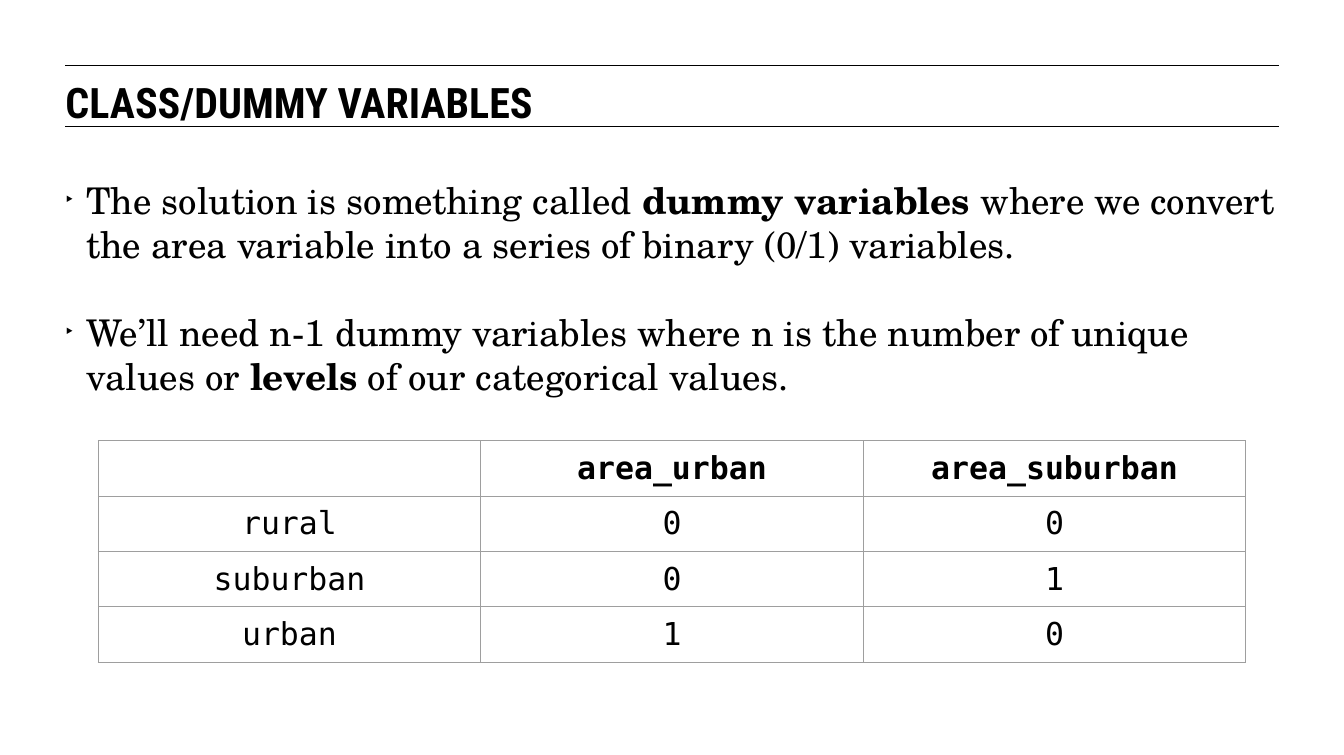
"""Build the slide on class and dummy variables."""
from lxml.etree import SubElement, fromstring
from pptx import Presentation
from pptx.dml.color import RGBColor
from pptx.enum.shapes import MSO_CONNECTOR
from pptx.enum.text import MSO_ANCHOR, MSO_AUTO_SIZE, PP_ALIGN
from pptx.oxml.ns import nsdecls, qn
from pptx.util import Cm, Pt

COLORS = {"ink": "000000", "grid": "9E9E9E"}
LEFT, WIDTH = 1.76, 32.6


def add_run(para, text, face, size, bold=False):
    run = para.add_run()
    run.text = text
    run.font.name = face
    run.font.size = Pt(size)
    run.font.bold = bold
    run.font.color.rgb = RGBColor.from_string(COLORS["ink"])


def set_frame(shape, top, height):
    shape.left, shape.top = Cm(LEFT), Cm(top)
    shape.width, shape.height = Cm(WIDTH), Cm(height)
    frame = shape.text_frame
    frame.margin_left = frame.margin_right = 0
    frame.margin_top = frame.margin_bottom = 0
    frame.vertical_anchor = MSO_ANCHOR.TOP
    frame.auto_size = MSO_AUTO_SIZE.NONE
    frame.word_wrap = True
    return frame


deck = Presentation()
deck.slide_width, deck.slide_height = Cm(36.12), Cm(20.29)
slide = deck.slides.add_slide(deck.slide_layouts[1])

for y in (1.76, 3.39):
    rule = slide.shapes.add_connector(
        MSO_CONNECTOR.STRAIGHT, Cm(LEFT), Cm(y), Cm(LEFT + WIDTH), Cm(y))
    rule.line.color.rgb = RGBColor.from_string(COLORS["ink"])
    rule.line.width = Pt(0.75)
    SubElement(rule._element.spPr, qn("a:effectLst"))

title = set_frame(slide.shapes.title, 2.06, 1.2)
title.paragraphs[0].alignment = PP_ALIGN.LEFT
add_run(title.paragraphs[0], "CLASS/DUMMY VARIABLES", "Roboto Condensed", 32, True)

points = [
    [("The solution is something called ", False),
     ("dummy variables", True),
     (" where we convert the area variable into a series of binary (0/1) variables.", False)],
    [("We’ll need n-1 dummy variables where n is the number of unique values or ", False),
     ("levels", True),
     (" of our categorical values.", False)],
]
body = set_frame(slide.placeholders[1], 4.77, 6.2)
for i, parts in enumerate(points):
    para = body.add_paragraph() if i else body.paragraphs[0]
    props = para._p.get_or_add_pPr()
    props.set("marL", str(Cm(0.56)))
    props.set("indent", str(-Cm(0.56)))
    color = SubElement(props, qn("a:buClr"))
    SubElement(color, qn("a:srgbClr"), val=COLORS["ink"])
    SubElement(props, qn("a:buSzPct"), val="60000")
    SubElement(props, qn("a:buChar"), char="‣")
    para.space_before = Pt(33.6 if i else 0)
    for text, bold in parts:
        add_run(para, text, "TeX Gyre Schola", 28, bold)

rows = [
    ["", "area_urban", "area_suburban"],
    ["rural", "0", "0"],
    ["suburban", "0", "1"],
    ["urban", "1", "0"],
]
table = slide.shapes.add_table(
    4, 3, Cm(2.64), Cm(11.84), Cm(30.84), Cm(5.96)).table
table.first_row = table.horz_banding = False
for row, texts in enumerate(rows):
    for col, text in enumerate(texts):
        cell = table.cell(row, col)
        cell.margin_left = cell.margin_right = Cm(0.25)
        cell.margin_top = cell.margin_bottom = Cm(0.25)
        cell.fill.background()
        props = cell._tc.get_or_add_tcPr()
        for i, side in enumerate("LRTB"):
            props.insert(i, fromstring(
                f'<a:ln{side} {nsdecls("a")} w="{Pt(0.75)}"><a:solidFill>'
                f'<a:srgbClr val="{COLORS["grid"]}"/></a:solidFill></a:ln{side}>'))
        if text:
            para = cell.text_frame.paragraphs[0]
            para.alignment = PP_ALIGN.CENTER
            add_run(para, text, "DejaVu Sans Mono", 24, row == 0)

deck.save("out.pptx")
